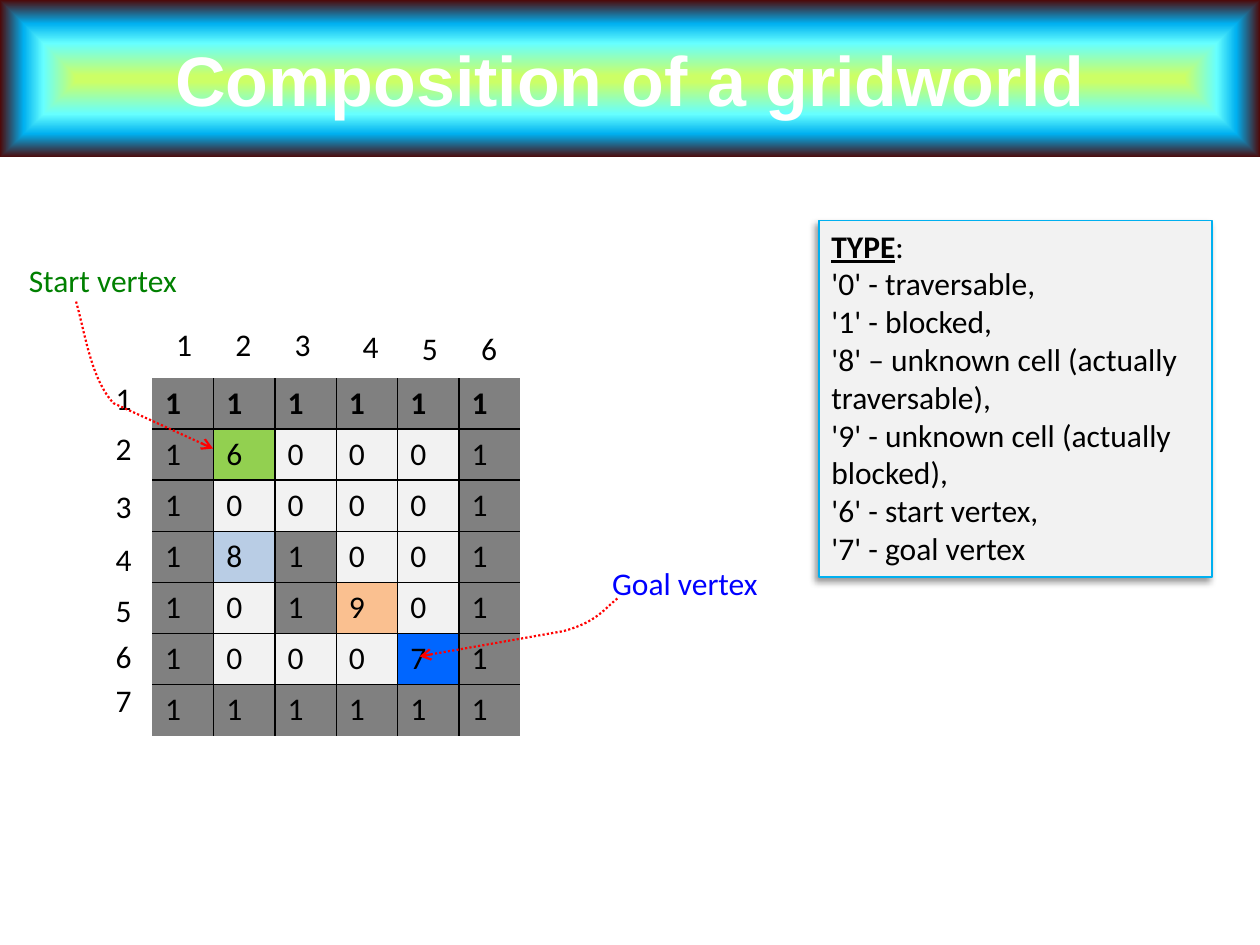
"""Build a slide that explains the cells of a gridworld."""
from lxml.etree import SubElement
from pptx import Presentation
from pptx.dml.color import RGBColor
from pptx.enum.dml import MSO_LINE
from pptx.enum.shapes import MSO_SHAPE
from pptx.enum.text import MSO_ANCHOR, MSO_AUTO_SIZE, PP_ALIGN
from pptx.oxml import parse_xml
from pptx.oxml.ns import qn
from pptx.util import Inches, Pt

COLORS = {
    "black": "000000", "white": "FFFFFF", "red": "FF0000",
    "blocked": "808080", "free": "F2F2F2", "start": "92D050",
    "goal": "0066FF", "unknown_free": "B9CDE5", "unknown_blocked": "FAC090",
    "legend_line": "00B0F0", "start_label": "008000", "goal_label": "0000FF",
}
BANNER_STOPS = [(4, "CCFF66"), (45, "66FFFF"), (70, "00B0F0"), (100, "4D0808")]
CELL_COLORS = {"0": "free", "1": "blocked", "6": "start", "7": "goal",
               "8": "unknown_free", "9": "unknown_blocked"}
GRID = ["111111", "160001", "100001", "181001", "101901", "100071", "111111"]
A_NS = 'xmlns:a="http://schemas.openxmlformats.org/drawingml/2006/main"'


def add_run(paragraph, text, color="black", size=18, font="Calibri", bold=False):
    run = paragraph.add_run()
    run.text = text
    run.font.name = font
    run.font.size = Pt(size)
    run.font.bold = bold
    run.font.color.rgb = RGBColor.from_string(COLORS[color])
    return run


def add_label(text, left, top, width=0.33, color="black"):
    label = slide.shapes.add_textbox(Inches(left), Inches(top), Inches(width), Inches(0.4))
    label.text_frame.word_wrap = False
    label.text_frame.auto_size = MSO_AUTO_SIZE.SHAPE_TO_FIT_TEXT
    add_run(label.text_frame.paragraphs[0], text, color)


prs = Presentation()
prs.slide_width, prs.slide_height = Inches(10), Inches(7.5)
slide = prs.slides.add_slide(prs.slide_layouts[5])

banner = slide.shapes.title
banner.left, banner.top, banner.width, banner.height = 0, 0, Inches(10), Inches(1.25)
stops = "".join(f'<a:gs pos="{pos * 1000}"><a:srgbClr val="{color}"/></a:gs>'
                for pos, color in BANNER_STOPS)
banner._element.spPr.append(parse_xml(
    f'<a:gradFill {A_NS} rotWithShape="1"><a:gsLst>{stops}</a:gsLst><a:path path="shape">'
    '<a:fillToRect l="50000" t="50000" r="50000" b="50000"/></a:path></a:gradFill>'))
banner.text_frame.vertical_anchor = MSO_ANCHOR.MIDDLE
heading = banner.text_frame.paragraphs[0]
heading.alignment = PP_ALIGN.CENTER
add_run(heading, "Composition of a gridworld", "white", 40, "Arial", True)

rows, cols = len(GRID), len(GRID[0])
grid_frame = slide.shapes.add_table(rows, cols, Inches(1.21), Inches(3), Inches(2.92), Inches(2.8))
grid = grid_frame.table
grid.first_row = grid.horz_banding = False
grid._tbl.tblPr.find(qn("a:tableStyleId")).text = "{2D5ABB26-0587-4C30-8999-92F81FD0307C}"
for r, values in enumerate(GRID):
    for c, value in enumerate(values):
        cell = grid.cell(r, c)
        add_run(cell.text_frame.paragraphs[0], value, bold=r == 0)
        inner_sides = {"L": c > 0, "R": c < cols - 1, "T": r > 0, "B": r < rows - 1}
        for side, is_inner in inner_sides.items():
            if is_inner:
                cell._tc.get_or_add_tcPr().append(parse_xml(
                    f'<a:ln{side} {A_NS} w="12700"><a:solidFill>'
                    f'<a:srgbClr val="{COLORS["black"]}"/></a:solidFill></a:ln{side}>'))
        cell.fill.solid()
        cell.fill.fore_color.rgb = RGBColor.from_string(COLORS[CELL_COLORS[value]])

column_places = [(1.3, 2.53), (1.77, 2.53), (2.24, 2.53), (2.78, 2.55), (3.25, 2.56), (3.72, 2.56)]
for number, (left, top) in enumerate(column_places, 1):
    add_label(str(number), left, top)
for number, top in enumerate([2.96, 3.36, 3.82, 4.24, 4.64, 5.01, 5.36], 1):
    add_label(str(number), 0.82, top)

legend = slide.shapes.add_shape(
    MSO_SHAPE.RECTANGLE, Inches(6.5), Inches(1.75), Inches(3.12), Inches(2.83))
legend.fill.solid()
legend.fill.fore_color.rgb = RGBColor.from_string(COLORS["free"])
legend.line.color.rgb = RGBColor.from_string(COLORS["legend_line"])
legend.line.width = Pt(0.75)
legend.shadow.inherit = False
legend._element.spPr.find(qn("a:effectLst")).append(parse_xml(
    f'<a:outerShdw {A_NS} blurRad="50800" dist="38100" dir="8100000" algn="tr" rotWithShape="0">'
    f'<a:srgbClr val="{COLORS["black"]}"><a:alpha val="40000"/></a:srgbClr></a:outerShdw>'))
legend_text = legend.text_frame
legend_text.word_wrap = True
legend_text.auto_size = MSO_AUTO_SIZE.SHAPE_TO_FIT_TEXT
legend_text.vertical_anchor = MSO_ANCHOR.TOP
legend_heading = legend_text.paragraphs[0]
legend_heading.alignment = PP_ALIGN.LEFT
add_run(legend_heading, "TYPE", bold=True).font.underline = True
add_run(legend_heading, ":")
for meaning in ["'0' - traversable,", "'1' - blocked,",
                "'8' – unknown cell (actually traversable),",
                "'9' - unknown cell (actually blocked),",
                "'6' - start vertex,", "'7' - goal vertex"]:
    entry = legend_text.add_paragraph()
    entry.alignment = PP_ALIGN.LEFT
    add_run(entry, meaning)

add_label("Start vertex", 0.13, 2.02, 1.39, "start_label")
add_label("Goal vertex", 4.76, 4.43, 1.37, "goal_label")

goal_route = [(3.33, 5.21), (4.47, 5.01), (4.73, 4.94), (4.79, 4.84), (4.9, 4.75)]
start_route = [(1.69, 3.56), (0.9, 3.2), (0.72, 3), (0.68, 2.66), (0.6, 2.38)]
for route in (goal_route, start_route):
    points = [(Inches(x), Inches(y)) for x, y in route]
    builder = slide.shapes.build_freeform(*points[0])
    builder.add_line_segments(points[1:], close=False)
    pointer = builder.convert_to_shape()
    outline = next(pointer._element.iter(qn("a:path")))
    bend_steps = outline.findall(qn("a:lnTo"))[-3:]
    bend = SubElement(outline, qn("a:cubicBezTo"))
    for step in bend_steps:
        bend.append(step[0])
        outline.remove(step)
    pointer.shadow.inherit = False
    pointer.fill.background()
    pointer.line.color.rgb = RGBColor.from_string(COLORS["red"])
    pointer.line.width = Pt(1.25)
    pointer.line.dash_style = MSO_LINE.ROUND_DOT
    SubElement(pointer.line._get_or_add_ln(), qn("a:headEnd"), type="arrow")

prs.save("out.pptx")
